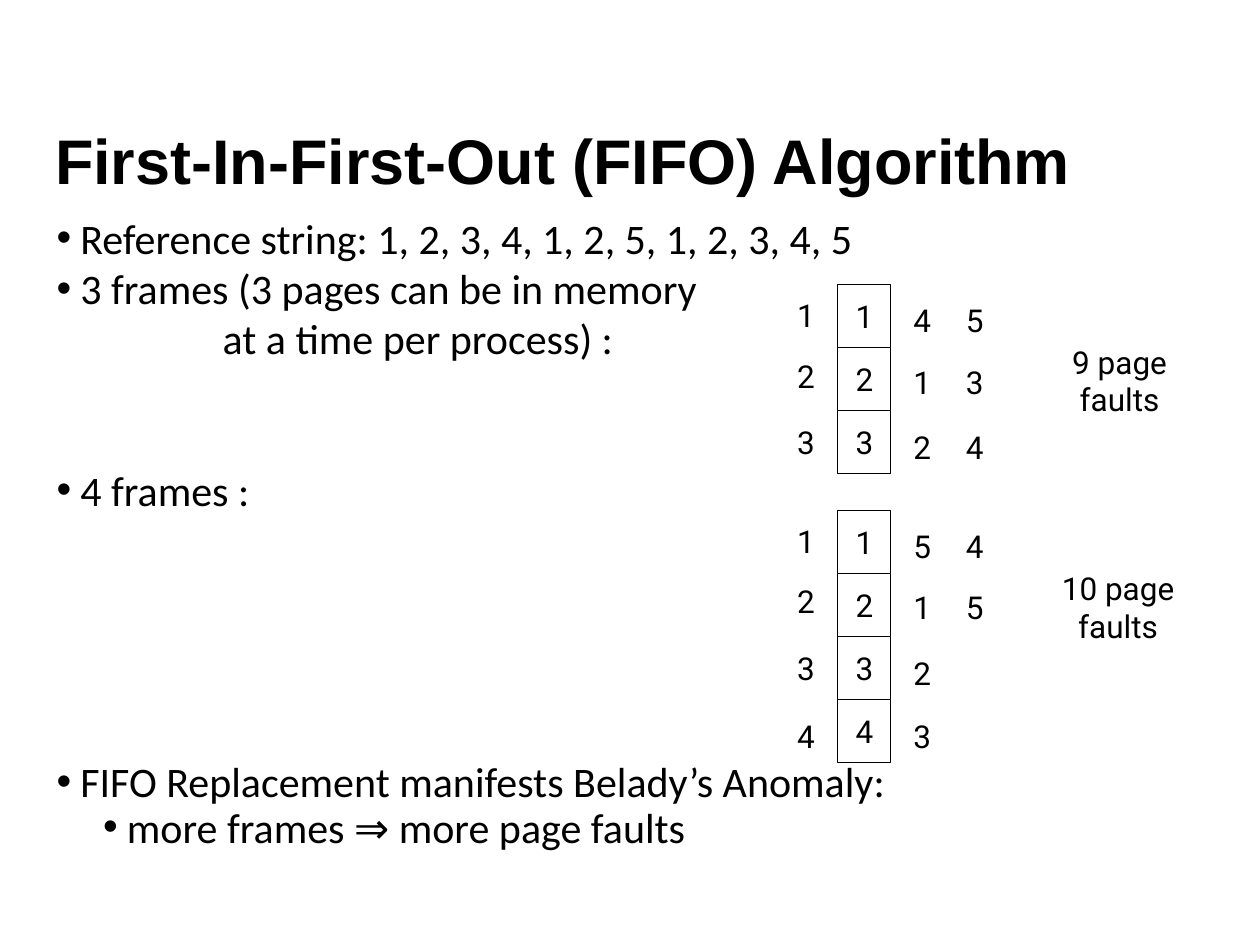
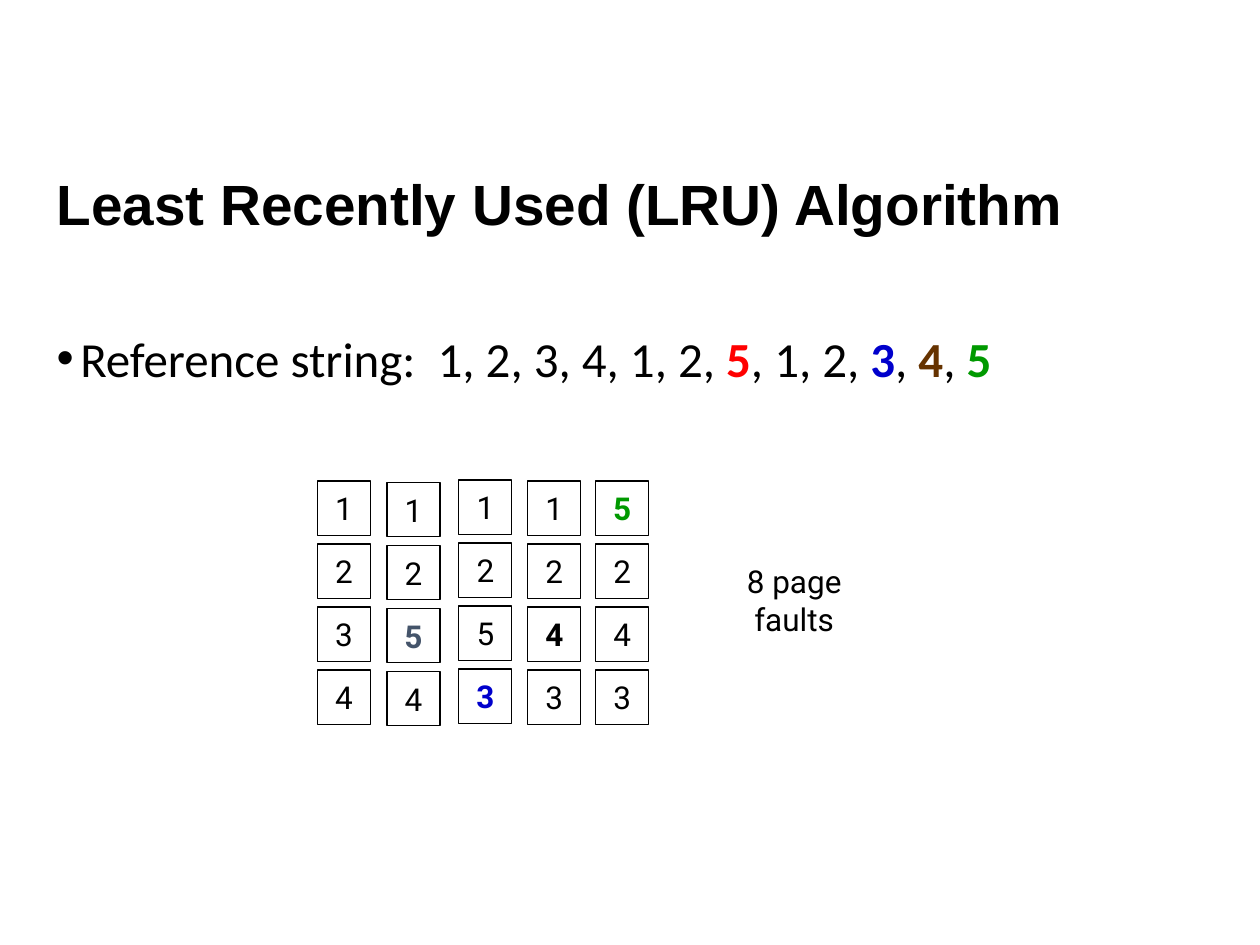
from lxml import etree
from pptx import Presentation
from pptx.dml.color import RGBColor
from pptx.enum.shapes import MSO_SHAPE
from pptx.enum.text import MSO_ANCHOR, PP_ALIGN
from pptx.oxml.ns import qn
from pptx.util import Cm, Pt

RECT = MSO_SHAPE.RECTANGLE
MID, TOP = MSO_ANCHOR.MIDDLE, MSO_ANCHOR.TOP
MIDDLE, LEFT = PP_ALIGN.CENTER, PP_ALIGN.LEFT
BLACK, WHITE, RED = "000000", "FFFFFF", "FF0000"
BLUE, BROWN, GREEN, SLATE = "0000CC", "663300", "009900", "44546A"

# Content: a run is (text, colour, bold); a plain string is black and regular
# FIFO lines: text, left indent (cm), bullet, space before (pt), line pitch (pt)
FIFO_TITLE = "First-In-First-Out (FIFO) Algorithm"
FIFO_LINES = [
    ("Reference string: 1, 2, 3, 4, 1, 2, 5, 1, 2, 3, 4, 5", 0.48, True, 0, 28.8),
    ("3 frames (3 pages can be in memory", 0.48, True, 0, 28.8),
    ("at a time per process) :", 3.35, False, 0, 28.8),
    ("4 frames :", 0.48, True, 57.6, 28.8),
    ("FIFO Replacement manifests Belady’s Anomaly:", 0.48, True, 141, 25.8),
    ("more frames ⇒ more page faults", 1.42, True, 0, 25.8),
]
# Each run of the queue: top, frames, later loads, fault count and its box
FIFO_RUNS = [
    (5.74, "123", ("412", "534"), "9 page faults", (20.5, 7.16, 4.14)),
    (10.29, "1234", ("5123", "45"), "10 page faults", (20.29, 11.73, 4.5)),
]
LRU_TITLE = "Least Recently Used (LRU) Algorithm"
LRU_LINE = ["Reference string:  1, 2, 3, 4, 1, 2, ", ("5", RED, True), ", 1, 2, ",
            ("3", BLUE, True), ", ", ("4", BROWN, True), ", ", ("5", GREEN, True)]
# Each state of memory: left, top, frames
LRU_STATES = [
    (6.4, 9.7, ["1", "2", "3", "4"]),
    (7.8, 9.73, ["1", "2", ("5", SLATE, True), "4"]),
    (9.25, 9.68, ["1", "2", "5", ("3", BLUE, True)]),
    (10.64, 9.7, ["1", "2", ("4", BLACK, True), "3"]),
    (12.01, 9.7, [("5", GREEN, True), "2", "4", "3"]),
]
LRU_FAULTS = ("8 page faults", (13.94, 11.58, 4.14))

# Measures in cm
STEP, CELL = 1.27, 1.07
FRAME_X, INDEX_X, LOAD_X = 16.89, 15.82, (18.16, 19.22)
INDEX_DROPS = (0.1, 1.32, 2.66, 4.04)
LOAD_DROPS = (0.2, 1.44, 2.77, 4.04)


def color(code):
    return RGBColor.from_string(code)


def write(para, runs, size, face):
    for item in runs:
        text, code, bold = (item, BLACK, False) if isinstance(item, str) else item
        run = para.add_run()
        run.text = text
        font = run.font
        font.size, font.name, font.bold = Pt(size), face, bold
        font.color.rgb = color(code)


def box(slide, x, y, w, h, anchor=MID, wrap=True):
    frame = slide.shapes.add_textbox(Cm(x), Cm(y), Cm(w), Cm(h)).text_frame
    frame.word_wrap, frame.vertical_anchor = wrap, anchor
    return frame


def indent(para, left, bullet):
    props = para._p.get_or_add_pPr()
    props.set("marL", str(Cm(left)))
    props.set("indent", str(-Cm(0.48) if bullet else 0))
    if bullet:
        etree.SubElement(props, qn("a:buFont")).set("typeface", "Arial")
        etree.SubElement(props, qn("a:buChar")).set("char", "•")


def title(slide, text, x, y, h, size):
    para = box(slide, x, y, 23.29, h).paragraphs[0]
    para.line_spacing = 0.9
    write(para, [(text, BLACK, True)], size, "Arial")


def label(slide, text, x, y, w=0.86, wrap=False):
    frame = box(slide, x, y, w, 1.02, wrap=wrap)
    if wrap:
        frame.margin_left = frame.margin_right = Cm(0.5)
    para = frame.paragraphs[0]
    para.alignment = MIDDLE
    write(para, [text], 18, "Roboto")


def stack(slide, x, top, frames, h):
    for row, item in enumerate(frames):
        cell = slide.shapes.add_shape(RECT, Cm(x), Cm(top + row * STEP), Cm(CELL), Cm(h))
        cell.shadow.inherit = False
        cell.fill.solid()
        cell.fill.fore_color.rgb = color(WHITE)
        cell.line.color.rgb = color(BLACK)
        cell.line.width = Pt(0.75)
        frame = cell.text_frame
        frame.word_wrap, frame.vertical_anchor = False, MID
        para = frame.paragraphs[0]
        para.alignment = MIDDLE
        write(para, [item], 18, "Roboto")


def column(slide, x, top, items, drops):
    for text, drop in zip(items, drops):
        label(slide, text, x, top + drop)


def fifo(slide):
    title(slide, FIFO_TITLE, 0.86, 2.46, 1.7, 36)
    body = box(slide, 0.89, 4.15, 23.24, 14.6, TOP)
    for num, (text, left, bullet, before, pitch) in enumerate(FIFO_LINES):
        para = body.add_paragraph() if num else body.paragraphs[0]
        para.line_spacing = Pt(pitch)
        if before:
            para.space_before = Pt(before)
        indent(para, left, bullet)
        write(para, [text], 24, "Calibri")
    for top, frames, loads, faults, place in FIFO_RUNS:
        stack(slide, FRAME_X, top, frames, STEP)
        column(slide, INDEX_X, top, frames, INDEX_DROPS)
        for x, items in zip(LOAD_X, loads):
            column(slide, x, top, items, LOAD_DROPS)
        label(slide, faults, *place, wrap=True)


def lru(slide):
    title(slide, LRU_TITLE, 0.89, 3.45, 1.47, 32.4)
    para = box(slide, 0.89, 6.5, 23.29, 11.4, TOP).paragraphs[0]
    para.alignment = LEFT
    indent(para, 0.48, True)
    write(para, LRU_LINE, 28, "Calibri")
    for x, top, frames in LRU_STATES:
        stack(slide, x, top, frames, 1.09)
    faults, place = LRU_FAULTS
    label(slide, faults, *place, wrap=True)


def main():
    deck = Presentation()
    deck.slide_width, deck.slide_height = Cm(25.4), Cm(19.05)
    for draw in (fifo, lru):
        draw(deck.slides.add_slide(deck.slide_layouts[6]))
    deck.save("out.pptx")


if __name__ == "__main__":
    main()
